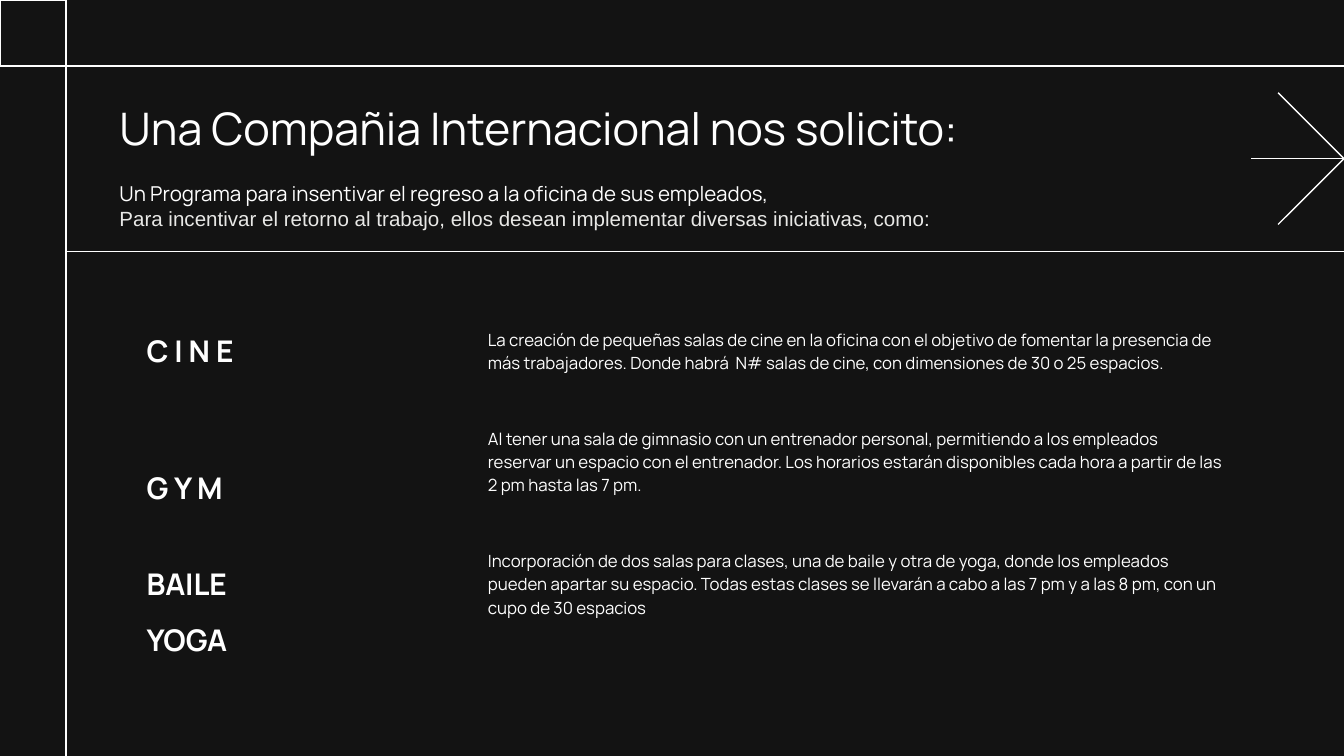
import pptx
import pptx.dml.color
import pptx.enum.shapes
import pptx.enum.text
import pptx.oxml.ns
import pptx.util
from lxml import etree

Inches, Pt = pptx.util.Inches, pptx.util.Pt
ANCHOR = pptx.enum.text.MSO_ANCHOR

COLORS = {"background": "131313", "white": "FFFFFF", "pale": "E8E8E6"}
FONT = "Manrope"
NO_STYLE_NO_GRID = "{2D5ABB26-0587-4C30-8999-92F81FD0307C}"

WIDTH = 10
HEIGHT = WIDTH * 9 / 16
MARGIN = 0.49       # side of the corner square and place of the frame lines
DIVIDER_Y = 1.87
TIP = (WIDTH, 1.18)  # tip of the large arrow

TITLE = "Una Compañia Internacional nos solicito:"
INTRO = [
    ("Un Programa para insentivar el regreso a la oficina de sus empleados,", FONT, "white"),
    ("Para incentivar el retorno al trabajo, ellos desean implementar diversas iniciativas, como:",
     "Arial", "pale"),
]

# name, description, row height, anchor of the description
INITIATIVES = [
    ("C I N E",
     "La creación de pequeñas salas de cine en la oficina con el objetivo de fomentar la "
     "presencia de más trabajadores. Donde habrá  N# salas de cine, con dimensiones de "
     "30 o 25 espacios.", 1.13, ANCHOR.MIDDLE),
    ("G Y M",
     "Al tener una sala de gimnasio con un entrenador personal, permitiendo a los empleados "
     "reservar un espacio con el entrenador. Los horarios estarán disponibles cada hora a "
     "partir de las 2 pm hasta las 7 pm.", 0.91, ANCHOR.TOP),
    ("BAILE",
     "Incorporación de dos salas para clases, una de baile y otra de yoga, donde los empleados "
     "pueden apartar su espacio. Todas estas clases se llevarán a cabo a las 7 pm y a las "
     "8 pm, con un cupo de 30 espacios", 0.52, ANCHOR.MIDDLE),
    ("YOGA", "", 0.3, ANCHOR.MIDDLE),
    ("", "", 0.3, ANCHOR.MIDDLE),
    ("", "", 0.3, ANCHOR.MIDDLE),
]
COLUMN_WIDTHS = (2.54, 5.68)

FRAME_LINES = [
    ((MARGIN, MARGIN), (WIDTH, MARGIN)),
    ((MARGIN, 0.33), (MARGIN, HEIGHT)),
    ((MARGIN, DIVIDER_Y), (WIDTH, DIVIDER_Y)),
]
ARROW_LINES = [(start, TIP) for start in ((9.51, 0.69), (9.31, 1.18), (9.51, 1.67))]


def rgb(name):
    return pptx.dml.color.RGBColor.from_string(COLORS[name])


def style_font(para, size, color="white", name=FONT, bold=False):
    font = para.font
    font.size, font.name, font.bold = Pt(size), name, bold
    font.color.rgb = rgb(color)


def style_line(line):
    line.color.rgb = rgb("white")
    line.width = Pt(0.75)


def add_line(page, start, end):
    line = page.shapes.add_connector(
        pptx.enum.shapes.MSO_CONNECTOR.STRAIGHT, *map(Inches, start + end))
    style_line(line.line)
    etree.SubElement(line._element.spPr, pptx.oxml.ns.qn("a:effectLst"))


def add_text(page, place, rows, size):
    """Add a text box with one paragraph for each (text, font, color)."""
    frame = page.shapes.add_textbox(*map(Inches, place)).text_frame
    frame.word_wrap = True
    frame.margin_left = frame.margin_right = Inches(0.1)
    frame.margin_top = frame.margin_bottom = Inches(0.1)
    for index, (text, font, color) in enumerate(rows):
        para = frame.add_paragraph() if index else frame.paragraphs[0]
        para.text = text
        style_font(para, size, color, font)


def fill_cell(cell, text, size, bold, anchor):
    cell.fill.background()
    cell.margin_left = cell.margin_right = Inches(0.1)
    cell.margin_top = cell.margin_bottom = 0
    cell.vertical_anchor = anchor
    cell.text = text
    style_font(cell.text_frame.paragraphs[0], size, bold=bold)


def add_initiatives(page):
    heights = [row[2] for row in INITIATIVES]
    place = (0.99, 2.05, sum(COLUMN_WIDTHS), sum(heights))
    table = page.shapes.add_table(
        len(INITIATIVES), len(COLUMN_WIDTHS), *map(Inches, place)).table
    table.first_row = table.horz_banding = False
    style_id = table._tbl.tblPr.find(pptx.oxml.ns.qn("a:tableStyleId"))
    style_id.text = NO_STYLE_NO_GRID
    for column, width in zip(table.columns, COLUMN_WIDTHS):
        column.width = Inches(width)
    for row, (name, description, height, anchor) in zip(table.rows, INITIATIVES):
        row.height = Inches(height)
        fill_cell(row.cells[0], name, 16, True, ANCHOR.MIDDLE)
        fill_cell(row.cells[1], description, 9, False, anchor)


def main():
    deck = pptx.Presentation()
    deck.slide_width, deck.slide_height = Inches(WIDTH), Inches(HEIGHT)
    page = deck.slides.add_slide(deck.slide_layouts[6])
    page.background.fill.solid()
    page.background.fill.fore_color.rgb = rgb("background")

    corner = page.shapes.add_shape(
        pptx.enum.shapes.MSO_SHAPE.RECTANGLE, 0, 0, Inches(MARGIN), Inches(MARGIN))
    corner.shadow.inherit = False
    corner.fill.background()
    style_line(corner.line)

    for start, end in FRAME_LINES + ARROW_LINES:
        add_line(page, start, end)
    add_text(page, (0.79, 0.65, 7.45, 0.4), [(TITLE, FONT, "white")], 24)
    add_text(page, (0.79, 1.25, 8.43, 0.4), INTRO, 11)
    add_initiatives(page)
    deck.save("out.pptx")


if __name__ == "__main__":
    main()
